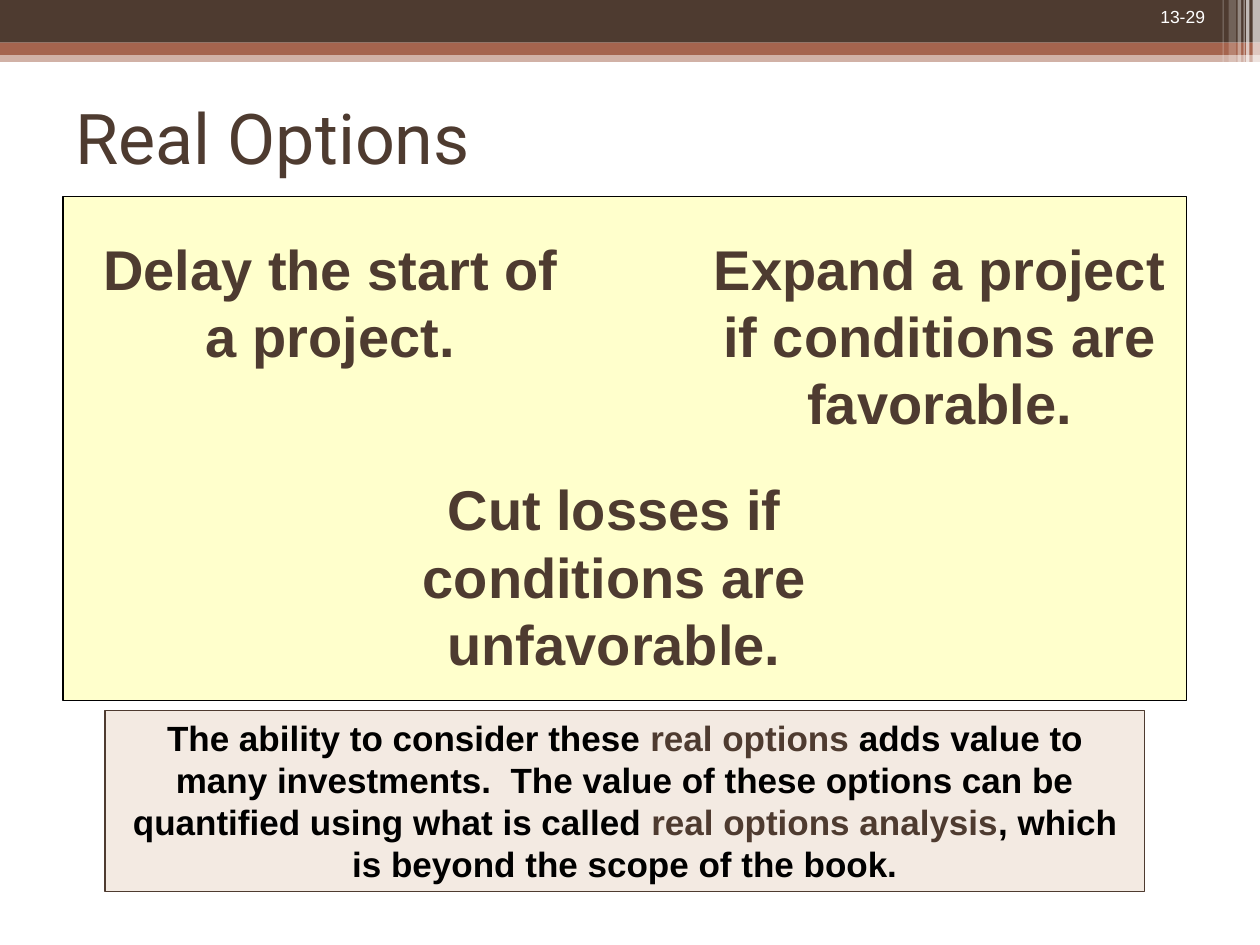
from lxml import etree
from pptx import Presentation
from pptx import util as u
from pptx.dml import color
from pptx.enum import shapes, text
from pptx.oxml import ns

COLOURS = {
    "brown": "4E3B30",
    "rust": "A5644E",
    "white": "FFFFFF",
    "black": "000000",
    "yellow": "FFFFCC",
    "cream": "F3EAE2",
}
LINE_FACTOR = 1.2  # line pitch relative to the text size


def rgb(name):
    return color.RGBColor.from_string(COLOURS[name])


def add_rectangle(page, left, top, width, height, fill, line=None, opacity=100):
    box = page.shapes.add_shape(
        shapes.MSO_SHAPE.RECTANGLE,
        u.Cm(left), u.Cm(top), u.Cm(width), u.Cm(height))
    box.shadow.inherit = False
    box.fill.solid()
    box.fill.fore_color.rgb = rgb(fill)
    if opacity < 100:
        solid = box.fill._xPr.find(ns.qn("a:solidFill"))
        alpha = etree.SubElement(solid[0], ns.qn("a:alpha"))
        alpha.set("val", str(opacity * 1000))
    if line:
        box.line.color.rgb = rgb(line)
        box.line.width = u.Pt(0.75)
    else:
        box.line.fill.background()
    return box


def add_text_box(page, left, top, width, height):
    return page.shapes.add_textbox(
        u.Cm(left), u.Cm(top), u.Cm(width), u.Cm(height))


def write(box, spans, size, align, font="Arial", bold=False, pitch=None,
          anchor=text.MSO_ANCHOR.TOP):
    """Fill the box with one paragraph made of (wording, colour) spans."""
    frame = box.text_frame
    frame.word_wrap = True
    frame.vertical_anchor = anchor
    para = frame.paragraphs[0]
    para.alignment = align
    if pitch:
        para.line_spacing = u.Pt(size * pitch)
    para.font.name = font
    para.font.size = u.Pt(size)
    para.font.bold = bold
    for wording, colour in spans:
        span = para.add_run()
        span.text = wording
        span.font.color.rgb = rgb(colour)


def add_header(page, left, top, width):
    # Horizontal bands
    bands = [(1.02, 0.23, "rust", 50), (0, 0.86, "brown", 100),
             (0.86, 0.25, "rust", 100)]
    for offset, height, fill, opacity in bands:
        add_rectangle(page, left, top + offset, width, height, fill,
                      opacity=opacity)

    # Translucent stripes, placed from the right edge
    stripes = [(0.15, 0.15, 1.73, 65), (0.28, 0.07, 1.73, 65),
               (0.33, 0.02, 1.73, 60), (0.45, 0.07, 1.73, 40),
               (0.63, 0.15, 1.63, 20), (0.75, 0.02, 1.63, 30)]
    for inset, stripe_width, height, opacity in stripes:
        add_rectangle(page, left + width - inset, top, stripe_width, height,
                      "white", opacity=opacity)

    # Page number
    number = add_text_box(page, left + width - 3.6, top, 2.74, 0.69)
    write(number, [("13-29", "white")], 10, text.PP_ALIGN.RIGHT)


def add_title(page, left, top, width, height):
    title = add_text_box(page, left, top, width, height)
    write(title, [("Real Options", "brown")], 40, text.PP_ALIGN.LEFT,
          font="Roboto", anchor=text.MSO_ANCHOR.MIDDLE)


def add_options_panel(page, left, top, width, height):
    add_rectangle(page, left, top, width, height, "yellow", line="black")
    option_width = 9.95
    options = [
        (0.42, 0.64, 2.97, "Delay the start of a project."),
        (width - option_width, 0.64, 4.32,
         "Expand a project if conditions are favorable."),
        (6.14, 5.49, 4.32, "Cut losses if conditions are unfavorable."),
    ]
    for across, down, option_height, wording in options:
        option = add_text_box(page, left + across, top + down,
                              option_width, option_height)
        write(option, [(wording, "brown")], 32, text.PP_ALIGN.CENTER,
              bold=True, pitch=LINE_FACTOR)


def add_summary(page, left, top, width, height):
    summary = add_rectangle(page, left, top, width, height, "cream",
                            line="brown")
    spans = [
        ("The ability to consider these ", "black"),
        ("real options", "brown"),
        (" adds value to many investments.  The value of these options "
         "can be quantified using what is called ", "black"),
        ("real options analysis", "brown"),
        (", which is beyond the scope of the book.", "black"),
    ]
    write(summary, spans, 20, text.PP_ALIGN.CENTER, bold=True,
          pitch=LINE_FACTOR)


def main():
    deck = Presentation()
    deck.slide_width, deck.slide_height = u.Cm(25.4), u.Cm(19.05)
    page = deck.slides.add_slide(deck.slide_layouts[6])
    add_header(page, 0, 0, 25.4)
    add_title(page, 1.27, 1.27, 22.86, 2.97)
    add_options_panel(page, 1.27, 3.96, 22.65, 10.16)
    add_summary(page, 2.12, 14.32, 20.96, 3.65)
    deck.save("out.pptx")


if __name__ == "__main__":
    main()
